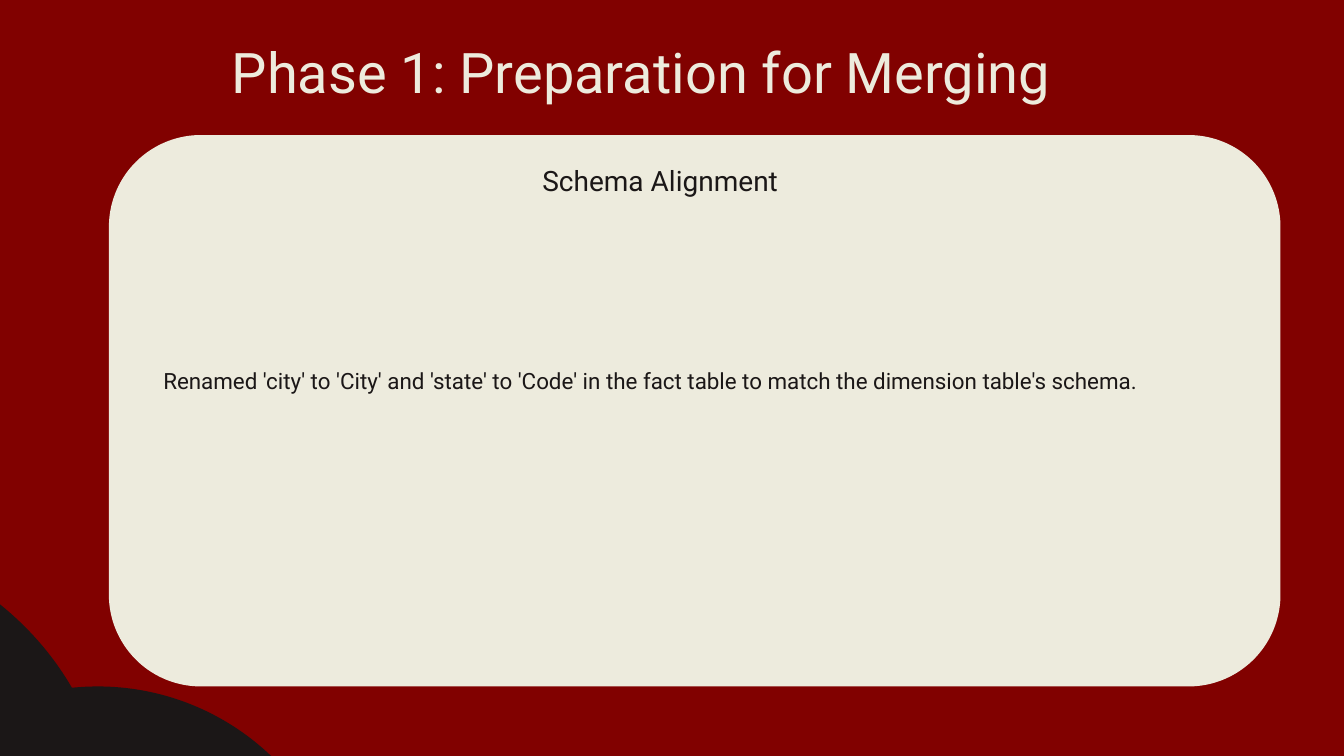
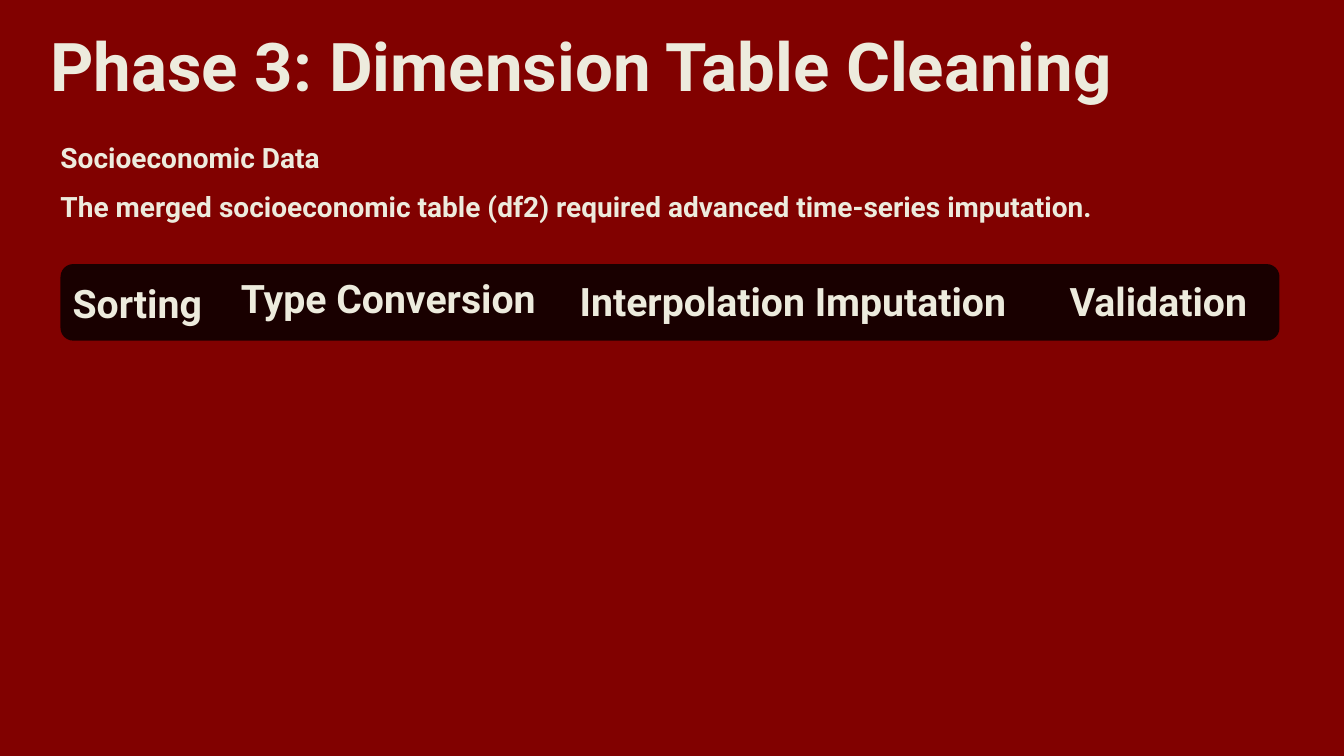
from lxml import etree
from pptx import Presentation
from pptx.dml.color import RGBColor
from pptx.enum import shapes, text
from pptx.oxml import ns
from pptx.util import Inches, Pt

RED, INK, CREAM, BLACK = "810100", "1B1717", "EDEBDD", "000000"
FONT = "Roboto"
ROUND = shapes.MSO_SHAPE.ROUNDED_RECTANGLE
OVAL = shapes.MSO_SHAPE.OVAL


def paint(target, color):
    target.solid()
    target.fore_color.rgb = RGBColor.from_string(color)


def write(shape, words, size=20, color=CREAM, bold=False, lead=None, pad=(0, 0)):
    """Fill a shape with one left-aligned paragraph; lead is line height in points."""
    frame = shape.text_frame
    frame.word_wrap = True
    frame.auto_size = text.MSO_AUTO_SIZE.NONE
    frame.vertical_anchor = text.MSO_ANCHOR.TOP
    frame.margin_left = frame.margin_right = Inches(pad[0])
    frame.margin_top = frame.margin_bottom = Inches(pad[1])
    para = frame.paragraphs[0]
    para.alignment = text.PP_ALIGN.LEFT
    if lead:
        para.line_spacing = Pt(lead)
    run = para.add_run()
    run.text = words
    run.font.name, run.font.size, run.font.bold = FONT, Pt(size), bold
    run.font.color.rgb = RGBColor.from_string(color)


def label(slide, box, words, **style):
    write(slide.shapes.add_textbox(*map(Inches, box)), words, **style)


def block(slide, kind, box, color, alpha=None):
    """Add a plain filled shape; alpha is its opacity in percent."""
    shape = slide.shapes.add_shape(kind, *map(Inches, box))
    shape.shadow.inherit = False
    shape.line.fill.background()
    paint(shape.fill, color)
    if alpha is not None:
        tint = shape.fill._xPr.find(".//" + ns.qn("a:srgbClr"))
        etree.SubElement(tint, ns.qn("a:alpha"), val=str(alpha * 1000))


def start(deck, words, box, **style):
    """Add a title-only slide and place its title."""
    slide = deck.slides.add_slide(deck.slide_layouts[5])
    title = slide.shapes.title
    title.left, title.top, title.width, title.height = map(Inches, box)
    write(title, words, lead=55.5, pad=(0.1, 0.05), **style)
    return slide


def corner(slide):
    for box in ((-1.52, 6.81, 4.98, 4.99), (-5.41, 5.25, 6.49, 5.85)):
        block(slide, OVAL, box, INK)


def panel(slide, box, head, body):
    left, top, width, height = box
    block(slide, ROUND, box, CREAM)
    label(slide, (left + 4.2, top + 0.22, 2.78, 0.45), head,
          color=INK, lead=25, pad=(0.1, 0.05))
    label(slide, (left + 0.54, top + 2.21, width - 1.35, 0.72), body,
          size=16, color=INK, lead=25.5)


def intro(slide, box, head, body):
    left, top, width, height = box
    label(slide, (left, top, width, 0.62), head, bold=True, lead=44.5)
    label(slide, (left, top + 0.71, width, 0.4), body, bold=True, lead=28.5)


def steps(slide, box, items):
    """Draw a dark bar with step names; each item is name, x, y, width, line height."""
    left, top, width, height = box
    block(slide, ROUND, box, BLACK, alpha=80)
    for name, x, y, wide, lead in items:
        label(slide, (left + x, top + y, wide, 0.47), name,
              size=28, bold=True, lead=lead)


def main():
    deck = Presentation()
    deck.slide_width, deck.slide_height = Inches(13.33), Inches(7.5)
    paint(deck.slide_master.background.fill, RED)

    slide = start(deck, "Phase 1: Preparation for Merging",
                  (2.2, 0.22, 8.94, 0.86), size=40)
    corner(slide)
    panel(slide, (1.08, 1.34, 11.62, 5.47), "Schema Alignment",
          "Renamed 'city' to 'City' and 'state' to 'Code' in the fact table "
          "to match the dimension table's schema.")

    slide = start(deck, "Phase 3: Dimension Table Cleaning",
                  (0.4, 0.22, 11.06, 0.89), size=48, bold=True)
    intro(slide, (0.6, 1.11, 12.09, 1.11), "Socioeconomic Data",
          "The merged socioeconomic table (df2) required advanced "
          "time-series imputation.")
    steps(slide, (0.6, 2.62, 12.09, 0.76), (
        ("Sorting", 0.12, 0.15, 1.5, None),
        ("Type Conversion", 1.79, 0.19, 3.2, 27.5),
        ("Interpolation Imputation", 5.15, 0.22, 4.68, 27.5),
        ("Validation", 10.01, 0.22, 2.08, 27.5),
    ))
    deck.save("out.pptx")


if __name__ == "__main__":
    main()
